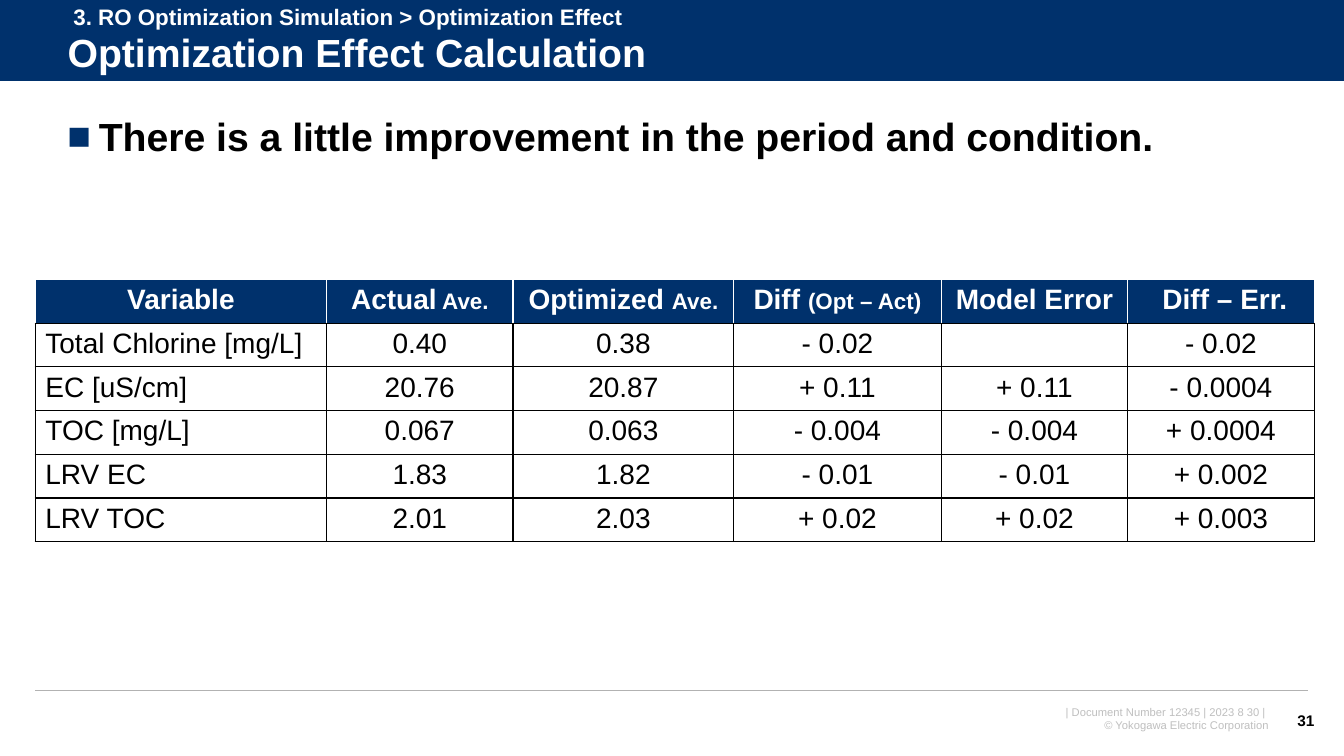
import lxml.etree
import pptx
import pptx.dml.color
import pptx.enum.shapes
import pptx.enum.text
import pptx.oxml.ns
import pptx.util

Cm = pptx.util.Cm
Pt = pptx.util.Pt
qn = pptx.oxml.ns.qn
rgb = pptx.dml.color.RGBColor.from_string
ALIGN = pptx.enum.text.PP_ALIGN
ANCHOR = pptx.enum.text.MSO_ANCHOR


class Theme:
    font = "Arial"
    navy, white, black = "00316C", "FFFFFF", "000000"
    pale, rule = "BFBFBF", "B2B2B2"
    head, body, small, page, foot = 28, 20, 16, 11, 8


def style(par, size, color, bold=False, align=ALIGN.LEFT):
    par.alignment = align
    for run in par.runs:
        run.font.name = Theme.font
        run.font.size = Pt(size)
        run.font.bold = bold
        run.font.color.rgb = rgb(color)


def label(spot, text, size, color, bold=True, align=ALIGN.LEFT):
    box = slide.shapes.add_textbox(*map(Cm, spot))
    frame = box.text_frame
    frame.word_wrap = True
    frame.text = text
    for par in frame.paragraphs:
        style(par, size, color, bold, align)
    return frame


deck = pptx.Presentation()
deck.slide_width, deck.slide_height = Cm(33.87), Cm(19.05)
slide = deck.slides.add_slide(deck.slide_layouts[5])
shapes = slide.shapes

# Footer text
label((24.08, 17.65, 8.15, 0.94),
      "| Document Number 12345 | 2023 8 30 | \n© Yokogawa Electric Corporation",
      Theme.foot, Theme.pale, False, ALIGN.RIGHT)

# Title band
band = shapes.add_shape(pptx.enum.shapes.MSO_SHAPE.RECTANGLE,
                        0, 0, deck.slide_width, Cm(2.06))
band.shadow.inherit = False
band.fill.solid()
band.fill.fore_color.rgb = rgb(Theme.navy)
band.line.fill.background()

# Rules below the band and above the footer
for left, right, top, color, width in (
        (0, 33.87, 2.06, Theme.white, 0.75),
        (0.89, 32.97, 17.4, Theme.rule, 1)):
    line = shapes.add_connector(pptx.enum.shapes.MSO_CONNECTOR.STRAIGHT,
                                Cm(left), Cm(top), Cm(right), Cm(top))
    line.line.color.rgb = rgb(color)
    line.line.width = Pt(width)
    lxml.etree.SubElement(line.element.spPr, qn("a:effectLst"))

# Title, brought in front of the band
title = shapes.title
shapes.element.append(title.element)
title.left, title.top, title.width, title.height = map(
    Cm, (1.45, 0.66, 31.67, 1.45))
frame = title.text_frame
frame.text = "Optimization Effect Calculation"
frame.auto_size = pptx.enum.text.MSO_AUTO_SIZE.NONE
frame.vertical_anchor = ANCHOR.MIDDLE
frame.paragraphs[0].line_spacing = 0.9
style(frame.paragraphs[0], Theme.head, Theme.white, True)

# Page number
page = label((32.26, 17.65, 1.12, 1.02), "31", Theme.page, Theme.black,
             align=ALIGN.RIGHT)
page.vertical_anchor = ANCHOR.MIDDLE
page.word_wrap = False

# Key message with a square bullet
point = label((1.45, 2.84, 31.93, 1.52),
              "There is a little improvement in the period and condition.",
              Theme.head, Theme.black).paragraphs[0]
point.line_spacing = 0.9
props = point._p.get_or_add_pPr()
props.set("marL", str(Cm(0.79)))
props.set("indent", str(-Cm(0.79)))
tint = lxml.etree.SubElement(props, qn("a:buClr"))
lxml.etree.SubElement(tint, qn("a:srgbClr"), val=Theme.navy)
lxml.etree.SubElement(props, qn("a:buFont"), typeface=Theme.font)
lxml.etree.SubElement(props, qn("a:buChar"), char="■")

# Section trail
label((1.6, -0.05, 15.11, 0.94),
      "3. RO Optimization Simulation > Optimization Effect",
      Theme.small, Theme.white)

# Table: each heading is a main part and a smaller part
heads = [("Variable", ""), ("Actual", " Ave."), ("Optimized ", "Ave."),
         ("Diff ", "(Opt – Act)"), ("Model Error", ""), (" Diff – Err.", "")]
rows = [
    ("Total Chlorine [mg/L]", "0.40", "0.38", "- 0.02", "", "- 0.02"),
    ("EC [uS/cm]", "20.76", "20.87", "+ 0.11", "+ 0.11", "- 0.0004"),
    ("TOC [mg/L]", "0.067", "0.063", "- 0.004", "- 0.004", "+ 0.0004"),
    ("LRV EC", "1.83", "1.82", "- 0.01", "- 0.01", "+ 0.002"),
    ("LRV TOC", "2.01", "2.03", "+ 0.02", "+ 0.02", "+ 0.003"),
]
wide = (7.34, 4.7, 5.56, 5.23, 4.7, 4.7)
high = 1.1
count = len(rows) + 1
table = shapes.add_table(count, len(wide), Cm(0.89), Cm(7.04),
                         Cm(sum(wide)), Cm(high * count)).table
table.horz_banding = False
for col, width in zip(table.columns, wide):
    col.width = Cm(width)
for row in table.rows:
    row.height = Cm(high)

for r in range(count):
    for c in range(len(wide)):
        cell = table.cell(r, c)
        par = cell.text_frame.paragraphs[0]
        if r == 0:
            main, extra = heads[c]
            par.text = main
            if extra:
                par.add_run().text = extra
            style(par, Theme.body, Theme.white, True, ALIGN.CENTER)
            if extra:
                par.runs[1].font.size = Pt(Theme.small)
        else:
            par.text = rows[r - 1][c]
            style(par, Theme.body, Theme.black,
                  align=ALIGN.CENTER if c else ALIGN.LEFT)

        # Borders: white around the heading cells, black elsewhere
        props = cell._tc.get_or_add_tcPr()
        for side in "LRTB":
            color = Theme.white if r == 0 and side != "B" else Theme.black
            edge = lxml.etree.SubElement(props, qn("a:ln" + side),
                                         w=str(Pt(1)))
            fill = lxml.etree.SubElement(edge, qn("a:solidFill"))
            lxml.etree.SubElement(fill, qn("a:srgbClr"), val=color)
        cell.fill.solid()
        cell.fill.fore_color.rgb = rgb(Theme.white if r else Theme.navy)

deck.save("out.pptx")
